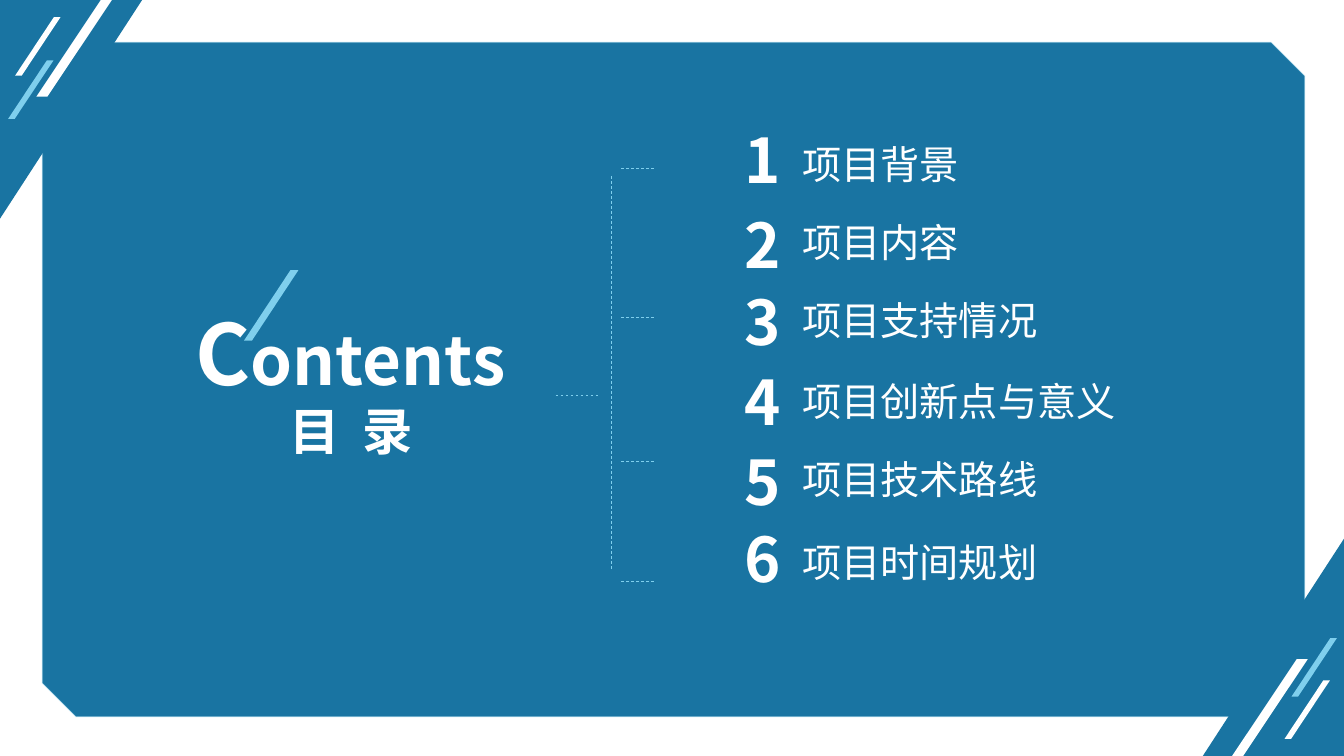
import pptx
import pptx.util
import pptx.dml.color
import pptx.enum.dml
import pptx.enum.shapes
import pptx.enum.text
import pptx.oxml.ns
import lxml.etree

PX = 9144  # 100 px to the inch
FONT = "Noto Sans CJK SC"
COLORS = {"blue": "1974A2", "sky": "7FCFED", "edge": "7ECFED", "white": "FFFFFF"}
RGB = {name: pptx.dml.color.RGBColor.from_string(c) for name, c in COLORS.items()}
KIND = pptx.enum.shapes.MSO_SHAPE
qn = pptx.oxml.ns.qn

deck = pptx.Presentation()
deck.slide_width = 1333 * PX
deck.slide_height = 750 * PX
slide = deck.slides.add_slide(deck.slide_layouts[6])


def block(kind, box, color, adj=()):
    shape = slide.shapes.add_shape(kind, *[v * PX for v in box])
    shape.shadow.inherit = False
    shape.fill.solid()
    shape.fill.fore_color.rgb = RGB[color]
    shape.line.fill.background()
    for i, value in enumerate(adj):
        shape.adjustments[i] = value
    return shape


def write(text, size, box=None, shape=None, bold=False, wrap=False, gap=0):
    """Text is a string, or a list of (string, size) runs; gap widens spaces."""
    shape = shape or slide.shapes.add_textbox(*[v * PX for v in box])
    frame = shape.text_frame
    frame.word_wrap = wrap
    if box:
        frame.auto_size = pptx.enum.text.MSO_AUTO_SIZE.SHAPE_TO_FIT_TEXT
    else:
        frame.vertical_anchor = pptx.enum.text.MSO_ANCHOR.MIDDLE
        frame.paragraphs[0].alignment = pptx.enum.text.PP_ALIGN.CENTER
    for part, points in [(text, size)] if isinstance(text, str) else text:
        run = frame.paragraphs[0].add_run()
        run.text = part
        run.font.size = pptx.util.Pt(points)
        run.font.bold = bold
        run.font.name = FONT
        run.font.color.rgb = RGB["white"]
        props = run.font._element
        if gap and part == " ":
            props.set("spc", str(gap * 100))
        east = lxml.etree.Element(qn("a:ea"), typeface=FONT)
        props.find(qn("a:latin")).addnext(east)


# Panel with two cut corners and a faint edge
panel = block(KIND.SNIP_2_DIAG_RECTANGLE, (42, 42, 1252, 669), "blue", (0, 0.05))
panel.line.color.rgb = RGB["edge"]
panel.line.width = pptx.util.Pt(1)
tint = panel.line._ln.find(".//" + qn("a:srgbClr"))
lxml.etree.SubElement(tint, qn("a:alpha"), val="20000")

# Corner triangles with slanted stripes
corners = [
    ((0, 0, 141, 217), "flipV",
     [(36, 0, 75, 96, "white"), (8, 60, 45, 58, "sky"), (15, 17, 45, 58, "white")]),
    ((1193, 533, 141, 217), "flipH",
     [(1222, 654, 75, 96, "white"), (1281, 633, 45, 58, "sky"),
      (1274, 675, 45, 58, "white")]),
]
for box, flip, stripes in corners:
    corner = block(KIND.RIGHT_TRIANGLE, box, "blue")
    corner._element.spPr.find(qn("a:xfrm")).set(flip, "1")
    for *place, color in stripes:
        block(KIND.PARALLELOGRAM, place, color, (0.854,))

# Title
write([("目", 36), (" ", 36), ("录", 36)], 36, box=(277, 392, 144, 71), bold=True, gap=8)
block(KIND.PARALLELOGRAM, (242, 268, 54, 70), "sky", (0.854,))
write([("C", 60), ("ontents", 48)], 48, box=(184, 294, 331, 111), bold=True)

# Dashed bracket
dashes = [(616, y, 649, y) for y in (167, 315, 458, 577)]
dashes += [(606, 175, 606, 565), (551, 392, 594, 392)]
for ends in dashes:
    dash = slide.shapes.add_connector(
        pptx.enum.shapes.MSO_CONNECTOR.STRAIGHT, *[v * PX for v in ends])
    dash.line.color.rgb = RGB["sky"]
    dash.line.width = pptx.util.Pt(0.5)
    dash.line.dash_style = pptx.enum.dml.MSO_LINE.DASH
    lxml.etree.SubElement(dash._element.spPr, qn("a:effectLst"))

# Numbered items: number top, label top, label width, wrap, label
items = [
    (112, 134, 176, False, "项目背景"),
    (196, 212, 260, True, "项目内容"),
    (273, 289, 260, True, "项目支持情况"),
    (352, 369, 331, False, "项目创新点与意义"),
    (432, 447, 253, False, "项目技术路线"),
    (508, 529, 253, False, "项目时间规划"),
]
for count, (top, row, width, wrap, label) in enumerate(items, 1):
    badge = block(KIND.PARALLELOGRAM, (711, top, 91, 91), "blue")
    write(str(count), 44, shape=badge, bold=True, wrap=True)
    write(label, 28, box=(786, row, width, 57), wrap=wrap)

deck.save("out.pptx")
